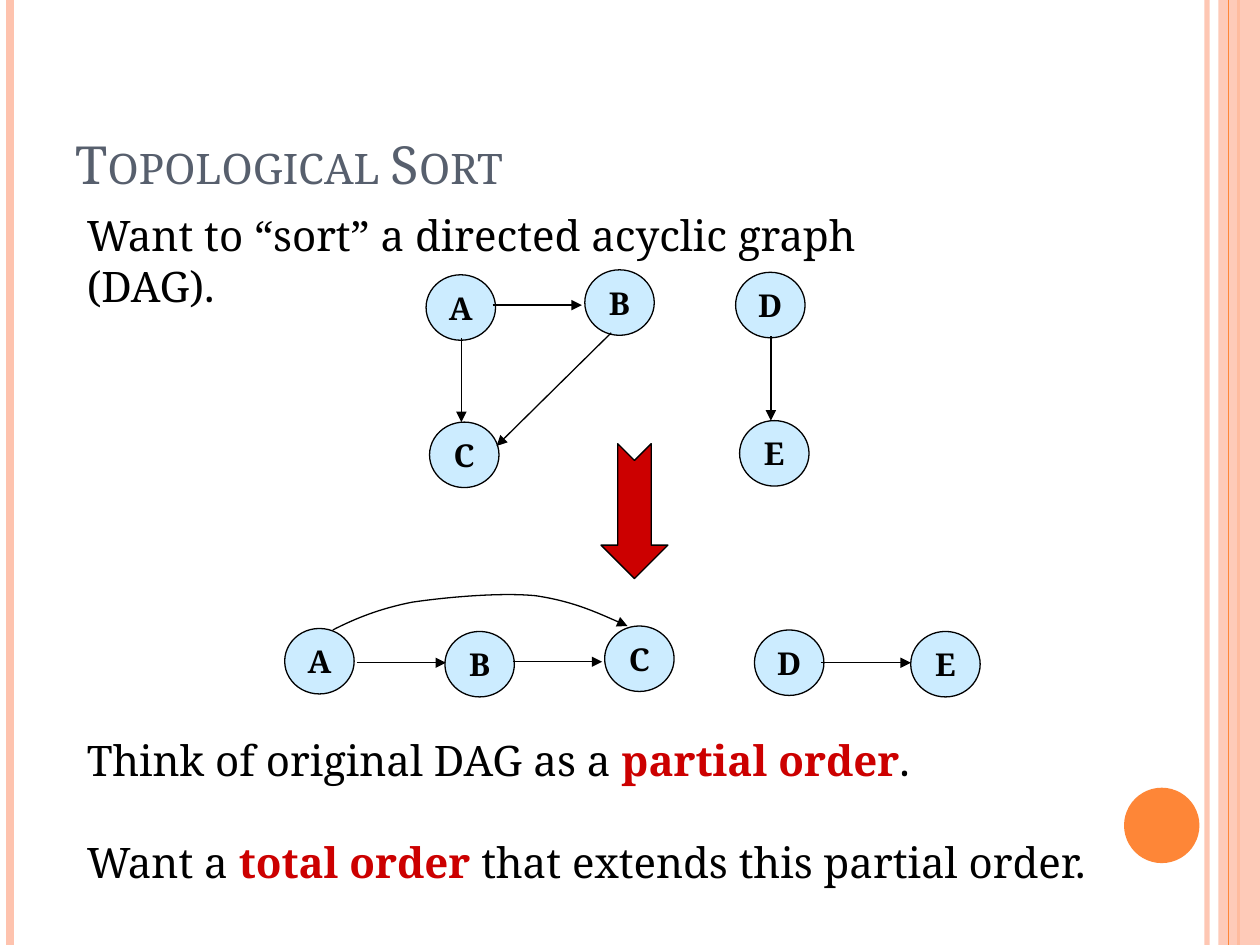
import pptx
import pptx.util
import pptx.dml.color
import pptx.enum.shapes
import pptx.enum.text
import pptx.oxml.ns
import pptx.oxml.xmlchemy

Cm, Pt = pptx.util.Cm, pptx.util.Pt
RGBColor = pptx.dml.color.RGBColor
SHAPE = pptx.enum.shapes.MSO_SHAPE
ANCHOR = pptx.enum.text.MSO_ANCHOR
qn = pptx.oxml.ns.qn
OxmlElement = pptx.oxml.xmlchemy.OxmlElement

FONT = "Noto Serif"
BLACK = RGBColor(0x00, 0x00, 0x00)
RED = RGBColor(0xCC, 0x00, 0x00)
PALE_BLUE = RGBColor(0xCC, 0xEC, 0xFF)
ORANGE = RGBColor(0xFE, 0x86, 0x37)
PEACH = RGBColor(0xFE, 0xC3, 0xAE)
SLATE = RGBColor(0x57, 0x5F, 0x6D)

presentation = pptx.Presentation()
presentation.slide_width, presentation.slide_height = Cm(25.4), Cm(19.05)
slide = presentation.slides.add_slide(presentation.slide_layouts[5])
shapes = slide.shapes


def add_line(start, end, color=BLACK, width=0.75):
    line = shapes.add_connector(
        pptx.enum.shapes.MSO_CONNECTOR.STRAIGHT, *[Cm(v) for v in (*start, *end)])
    line.line.color.rgb = color
    line.line.width = Pt(width)
    line._element.spPr.append(OxmlElement("a:effectLst"))
    return line


def add_filled(kind, left, top, width, height, color, outlined=True):
    shape = shapes.add_shape(kind, Cm(left), Cm(top), Cm(width), Cm(height))
    shape.shadow.inherit = False
    shape.fill.solid()
    shape.fill.fore_color.rgb = color
    if outlined:
        shape.line.color.rgb = BLACK
        shape.line.width = Pt(0.75)
    else:
        shape.line.fill.background()
    return shape


edge = add_line((24.33, 0), (24.33, 19.05), PEACH, 3)
add_line((0.2, 0), (0.2, 19.05), PEACH, 4.5)
add_line((24.97, 0), (24.97, 19.05), ORANGE, 1.5)
band = add_filled(SHAPE.RECTANGLE, 24.56, 0, 0.84, 19.05, PEACH, False)
add_line((24.77, 0), (24.77, 19.05), ORANGE)
add_filled(SHAPE.OVAL, 22.66, 15.88, 1.52, 1.52, ORANGE, False)
for translucent, opacity in ((edge, 93000), (band, 87000)):
    alpha = OxmlElement("a:alpha")
    alpha.set("val", str(opacity))
    next(translucent._element.spPr.iter(qn("a:srgbClr"))).append(alpha)

title = shapes.title
title.left, title.top, title.width, title.height = Cm(1.27), Cm(0.76), Cm(20.75), Cm(3.18)
title.text_frame.text = "Topological Sort"
title.text_frame.vertical_anchor = ANCHOR.BOTTOM
title.text_frame.margin_bottom = 0
heading = title.text_frame.paragraphs[0]
heading.alignment = pptx.enum.text.PP_ALIGN.LEFT
heading.runs[0].font.name = FONT
heading.runs[0].font.size = Pt(30)
heading.runs[0].font.color.rgb = SLATE
heading.runs[0].font._element.set("cap", "small")

statements = [
    (4.09, 18.64, 1.27, [["Want to “sort” a directed acyclic graph (DAG)."]]),
    (14.68, 20.88, 3.33, [
        ["Think of original DAG as a ", "partial order", "."],
        ["Want a ", "total order", " that extends this partial order."]]),
]
for top, width, height, lines in statements:
    frame = shapes.add_textbox(Cm(1.5), Cm(top), Cm(width), Cm(height)).text_frame
    frame.word_wrap = True
    for index, pieces in enumerate(lines):
        paragraph = frame.add_paragraph() if index else frame.paragraphs[0]
        paragraph.line_spacing = Pt(29)
        paragraph.space_before = Pt(29 * index)
        for position, piece in enumerate(pieces):
            run = paragraph.add_run()
            run.text = piece
            run.font.name = FONT
            run.font.size = Pt(24)
            run.font.bold = position == 1
            run.font.color.rgb = RED if position == 1 else BLACK

nodes = [
    ("A", 8.59, 5.54), ("B", 11.79, 5.44), ("C", 8.66, 8.51),
    ("D", 14.83, 5.49), ("E", 14.91, 8.48),
    ("A", 5.74, 12.67), ("B", 8.97, 12.73), ("C", 12.19, 12.62),
    ("D", 15.21, 12.7), ("E", 18.36, 12.73),
]
for letter, left, top in nodes:
    frame = add_filled(SHAPE.OVAL, left, top, 1.4, 1.32, PALE_BLUE).text_frame
    frame.text = letter
    frame.word_wrap = False
    frame.vertical_anchor = ANCHOR.MIDDLE
    label = frame.paragraphs[0]
    label.alignment = pptx.enum.text.PP_ALIGN.CENTER
    label.runs[0].font.name = FONT
    label.runs[0].font.size = Pt(18)
    label.runs[0].font.bold = True
    label.runs[0].font.color.rgb = BLACK

edge_ends = [
    ((9.3, 6.81), (9.3, 8.51)), ((9.93, 6.15), (11.73, 6.15)),
    ((12.32, 6.71), (10.01, 8.99)), ((15.54, 6.78), (15.54, 8.48)),
    ((7.19, 13.36), (8.99, 13.36)), ((10.34, 13.34), (12.14, 13.34)),
    ((16.56, 13.36), (18.36, 13.36)),
]
graph_edges = [add_line(start, end) for start, end in edge_ends]

sorting = add_filled(SHAPE.NOTCHED_RIGHT_ARROW, 11.43, 9.63, 2.72, 1.35, RED)
sorting.rotation = 90

curve_points = [
    (6.71, 12.7), (7.16, 12.47), (7.65, 12.27), (8.31, 12.14), (8.99, 12.04),
    (10.08, 11.94), (10.8, 12.01), (11.53, 12.12), (12.09, 12.37), (12.65, 12.62),
]
builder = shapes.build_freeform(Cm(curve_points[0][0]), Cm(curve_points[0][1]))
builder.add_line_segments([(Cm(x), Cm(y)) for x, y in curve_points[1:]], close=False)
curve = builder.convert_to_shape()
curve.shadow.inherit = False
curve.fill.background()
curve.line.color.rgb = BLACK
curve.line.width = Pt(0.75)
outline = next(curve._element.iter(qn("a:path")))
segments = outline.findall(qn("a:lnTo"))
for first in range(0, len(segments), 3):
    bend = OxmlElement("a:cubicBezTo")
    for segment in segments[first:first + 3]:
        bend.append(segment[0])
        outline.remove(segment)
    outline.append(bend)

for directed in (*graph_edges, curve):
    arrowhead = OxmlElement("a:tailEnd")
    arrowhead.set("type", "triangle")
    directed._element.spPr.find(qn("a:ln")).append(arrowhead)

presentation.save("out.pptx")
